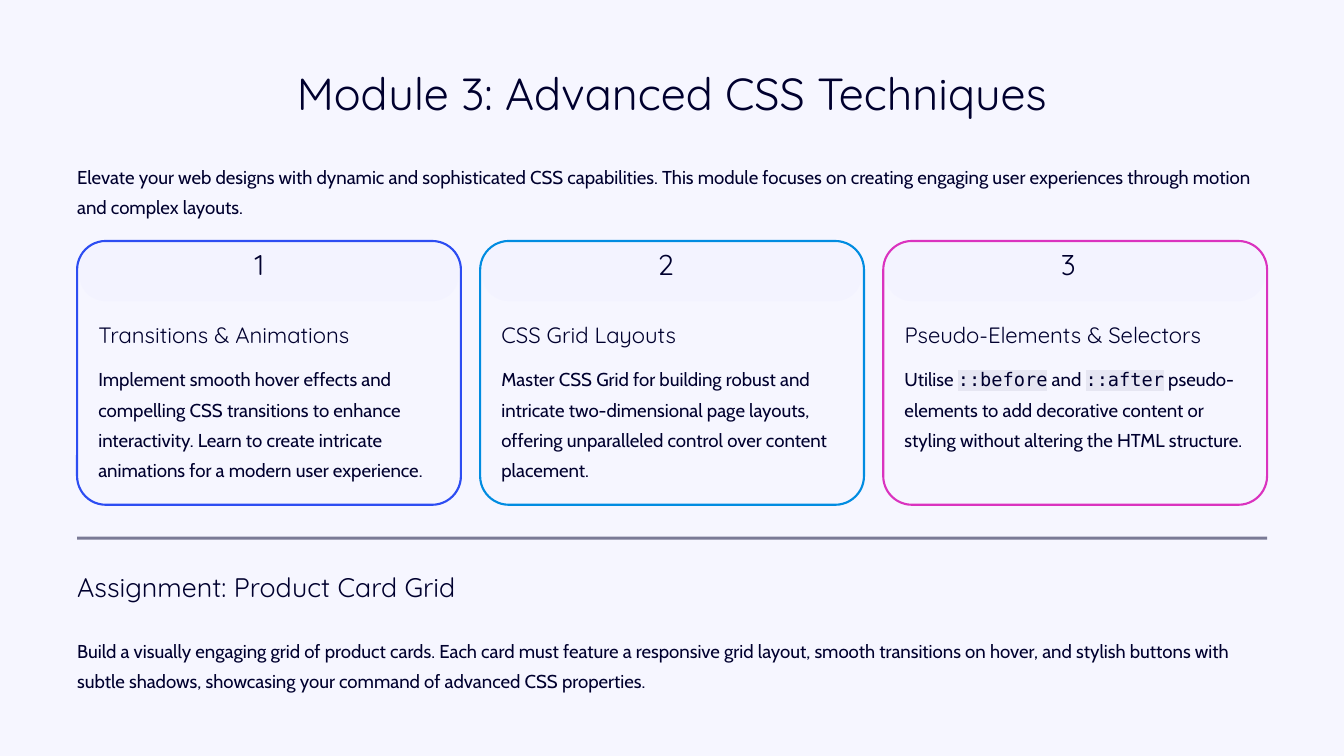
import dataclasses
import typing

import lxml.etree
import pptx
import pptx.dml.color
import pptx.enum.shapes
import pptx.enum.text
import pptx.oxml.ns
import pptx.util

Pt = pptx.util.Pt
RGB = pptx.dml.color.RGBColor
Align = pptx.enum.text.PP_ALIGN
Shapes = pptx.enum.shapes.MSO_SHAPE

INK = RGB(0x00, 0x00, 0x2E)
PAPER = RGB(0xF6, 0xF6, 0xFF)
CARD_HEAD = RGB(0xF3, 0xF3, 0xFF)
CODE_BACK = RGB(0xE6, 0xE6, 0xF2)
BLUE = RGB(0x2D, 0x4D, 0xF2)
CYAN = RGB(0x01, 0x8C, 0xE1)
PINK = RGB(0xDA, 0x33, 0xBF)

HEADING, BODY, CODE = "Quicksand", "Cabin", "DejaVu Sans Mono"
LEFT, WIDTH = 66.1, 1020
CARD_TOP, CARD_WIDTH, CARD_HEIGHT, CARD_GAP = 206.6, 329, 226.1, 16.5


@dataclasses.dataclass(frozen=True)
class Style:
    font: str
    size: float
    spacing: float
    wrap: bool = False
    align: Align = Align.LEFT


@dataclasses.dataclass(frozen=True)
class Span:
    text: str
    is_code: bool = False


@dataclasses.dataclass(frozen=True)
class Card:
    color: RGB
    heading: str
    heading_width: float
    spans: tuple[Span, ...]


TITLE = Style(HEADING, 38.5, 48.5, align=Align.CENTER)
NUMBER = Style(HEADING, 24.5, 24.5)
CARD_TITLE = Style(HEADING, 19, 24)
SECTION = Style(HEADING, 23, 29)
TEXT = Style(BODY, 16, 26, wrap=True)

CARDS = (
    Card(BLUE, "Transitions & Animations", 221.8, (
        Span("Implement smooth hover effects and compelling CSS transitions to enhance "
             "interactivity. Learn to create intricate animations for a modern user "
             "experience."),)),
    Card(CYAN, "CSS Grid Layouts", 193.7, (
        Span("Master CSS Grid for building robust and intricate two-dimensional page "
             "layouts, offering unparalleled control over content placement."),)),
    Card(PINK, "Pseudo-Elements & Selectors", 262.8, (
        Span("Utilise "), Span("::before", True), Span(" and "), Span("::after", True),
        Span(" pseudo-elements to add decorative content or styling without altering "
             "the HTML structure."))),
)


def set_values(target: typing.Any, values: dict[str, typing.Any]) -> None:
    for name, value in values.items():
        setattr(target, name, value)


def add_highlight(run: typing.Any, color: RGB) -> None:
    highlight = lxml.etree.Element(pptx.oxml.ns.qn("a:highlight"))
    lxml.etree.SubElement(highlight, pptx.oxml.ns.qn("a:srgbClr"), val=str(color))
    run.font._element.find(pptx.oxml.ns.qn("a:latin")).addprevious(highlight)


def fill_text(box: typing.Any, spans: tuple[Span, ...], style: Style) -> None:
    frame = box.text_frame
    set_values(frame, {
        "margin_left": 0, "margin_top": 0, "margin_right": 0, "margin_bottom": 0,
        "auto_size": pptx.enum.text.MSO_AUTO_SIZE.NONE, "word_wrap": style.wrap,
        "vertical_anchor": pptx.enum.text.MSO_ANCHOR.TOP,
    })
    para = frame.paragraphs[0]
    set_values(para, {"alignment": style.align, "line_spacing": Pt(style.spacing),
                      "space_before": Pt(0)})
    for span in spans:
        run = para.add_run()
        run.text = span.text
        set_values(run.font, {"name": CODE if span.is_code else style.font,
                              "size": Pt(style.size)})
        run.font.color.rgb = INK
        if span.is_code:
            add_highlight(run, CODE_BACK)


def add_text(page: typing.Any, left: float, top: float, width: float, height: float,
             spans: tuple[Span, ...], style: Style) -> None:
    box = page.shapes.add_textbox(Pt(left), Pt(top), Pt(width), Pt(height))
    fill_text(box, spans, style)


def add_panel(page: typing.Any, kind: Shapes, left: float, top: float, width: float,
              height: float, fill: RGB | None = None, line: RGB | None = None,
              radius: float = 0) -> typing.Any:
    panel = page.shapes.add_shape(kind, Pt(left), Pt(top), Pt(width), Pt(height))
    panel.shadow.inherit = False
    if radius:
        panel.adjustments[0] = radius / height
    if fill is None:
        panel.fill.background()
    else:
        panel.fill.solid()
        panel.fill.fore_color.rgb = fill
    if line is None:
        panel.line.fill.background()
    else:
        panel.line.color.rgb = line
        panel.line.width = Pt(1.8)
    return panel


def add_card(page: typing.Any, index: int, card: Card) -> None:
    left = LEFT + index * (CARD_WIDTH + CARD_GAP)
    text_left = left + 18.2
    add_panel(page, Shapes.ROUNDED_RECTANGLE, left, CARD_TOP, CARD_WIDTH, CARD_HEIGHT,
              line=card.color, radius=24.6)
    add_panel(page, Shapes.ROUNDED_RECTANGLE, left + 1.8, CARD_TOP + 1.8,
              CARD_WIDTH - 3.6, 49.7, fill=CARD_HEAD, radius=22.7)
    add_text(page, left + 152.2, 216.7, 24.5, 31, (Span(str(index + 1)),), NUMBER)
    add_text(page, text_left, 274.3, card.heading_width, 24.5, (Span(card.heading),),
             CARD_TITLE)
    add_text(page, text_left, 308.9, 292.3, 105.8, card.spans, TEXT)


def main() -> None:
    deck = pptx.Presentation()
    set_values(deck, {"slide_width": Pt(1152), "slide_height": Pt(648)})
    page = deck.slides.add_slide(deck.slide_layouts[5])
    page.background.fill.solid()
    page.background.fill.fore_color.rgb = PAPER

    # Title and introduction
    title = page.shapes.title
    set_values(title, {"left": Pt(249), "top": Pt(54), "width": Pt(654),
                       "height": Pt(48.2)})
    fill_text(title, (Span("Module 3: Advanced CSS Techniques"),), TITLE)
    add_text(page, LEFT, 135.4, WIDTH, 52.6, (Span(
        "Elevate your web designs with dynamic and sophisticated CSS capabilities. This "
        "module focuses on creating engaging user experiences through motion and complex "
        "layouts."),), TEXT)

    # Topic cards
    for index, card in enumerate(CARDS):
        add_card(page, index, card)

    # Half-transparent divider
    divider = add_panel(page, Shapes.RECTANGLE, LEFT, 460, WIDTH, 2.6, fill=INK)
    color = divider.fill._xPr.find(".//" + pptx.oxml.ns.qn("a:srgbClr"))
    lxml.etree.SubElement(color, pptx.oxml.ns.qn("a:alpha"), val="50000")

    # Assignment
    add_text(page, LEFT, 487.4, 329, 28.8, (Span("Assignment: Product Card Grid"),),
             SECTION)
    add_text(page, LEFT, 541.4, WIDTH, 52.6, (Span(
        "Build a visually engaging grid of product cards. Each card must feature a "
        "responsive grid layout, smooth transitions on hover, and stylish buttons with "
        "subtle shadows, showcasing your command of advanced CSS properties."),), TEXT)

    deck.save("out.pptx")


if __name__ == "__main__":
    main()
